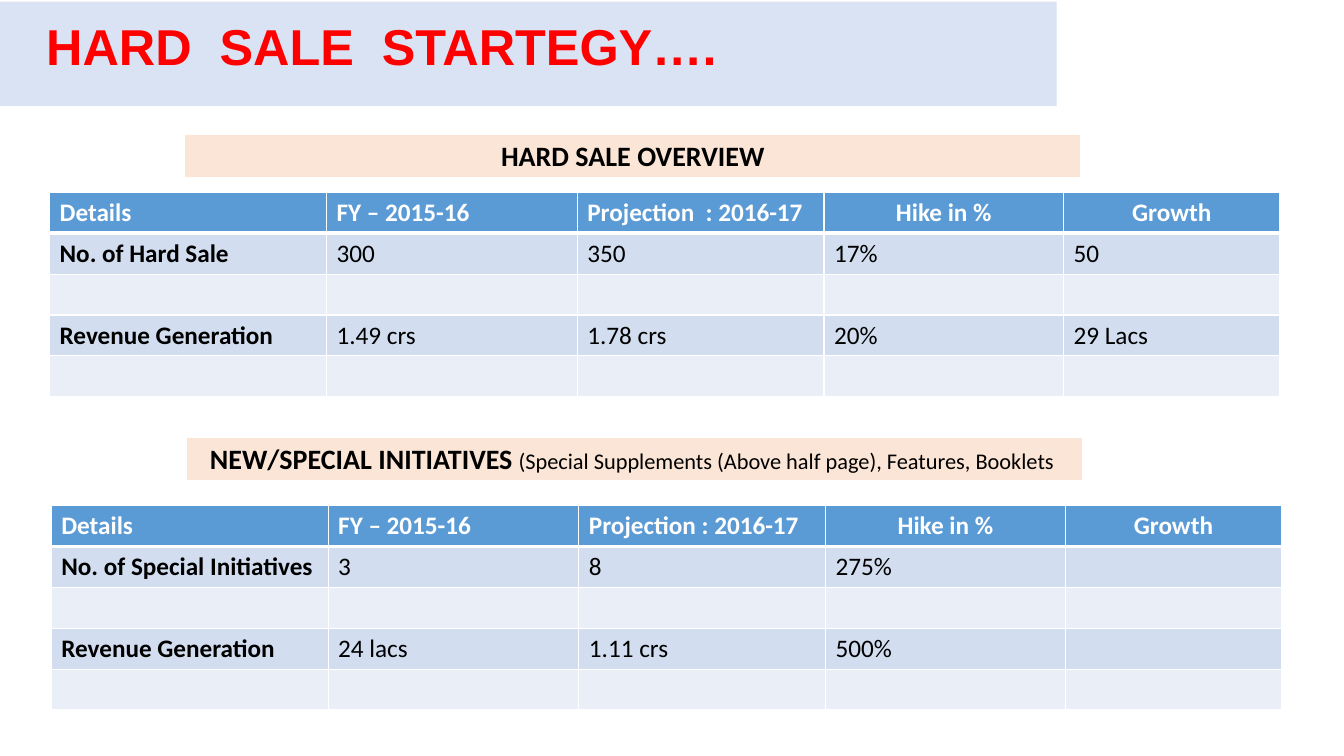
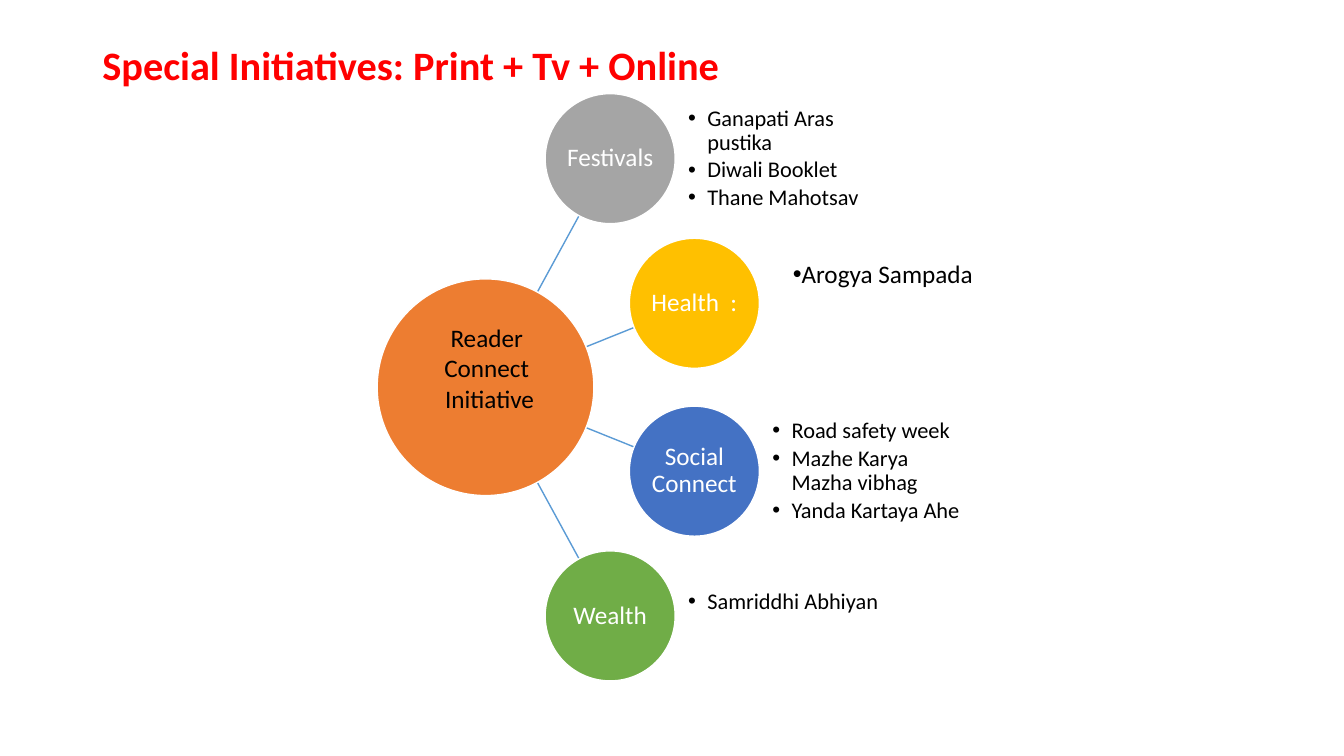
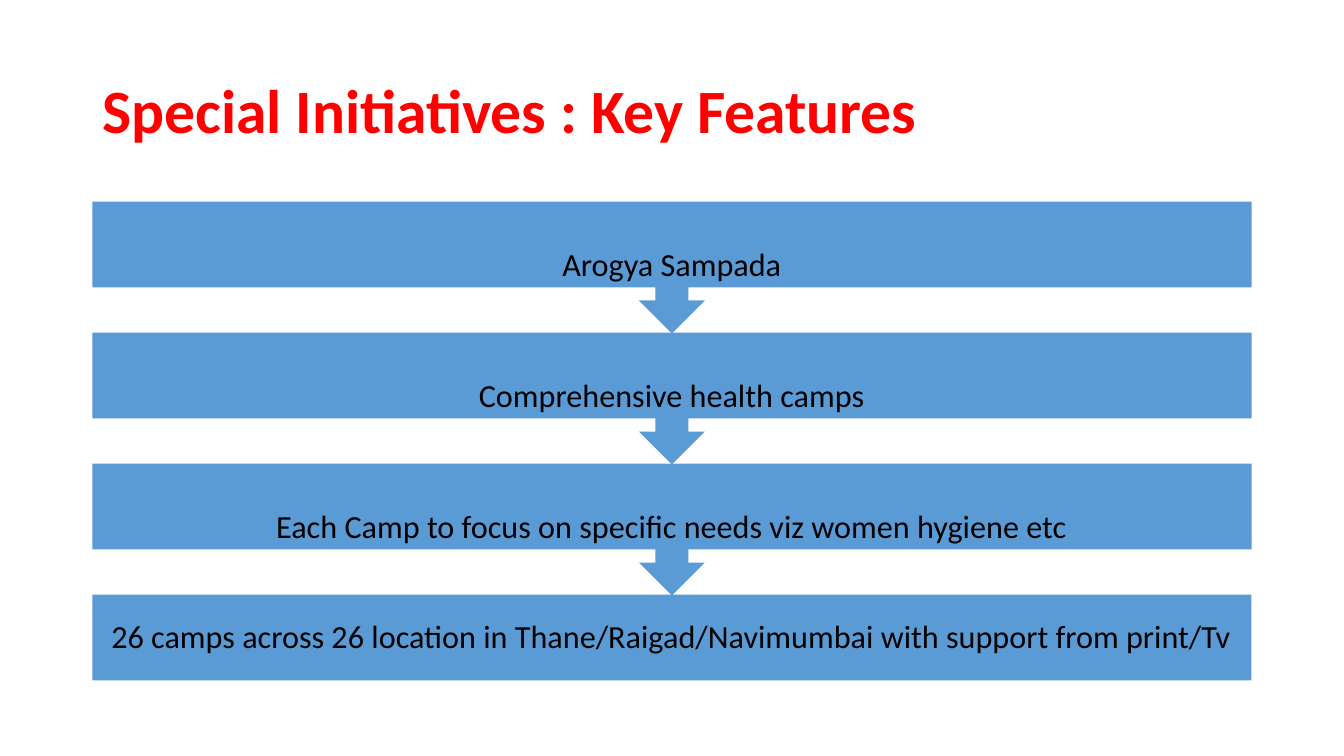
from dataclasses import dataclass
from math import cos, radians, sin

from lxml.etree import SubElement
from pptx import Presentation
from pptx.dml.color import RGBColor
from pptx.enum.shapes import MSO_CONNECTOR, MSO_SHAPE
from pptx.enum.text import MSO_ANCHOR, MSO_AUTO_SIZE, PP_ALIGN
from pptx.oxml.ns import qn
from pptx.util import Emu, Inches, Pt

CELL = Inches(1) / 12
COLS, ROWS = 160, 90


@dataclass(frozen=True)
class Theme:
    """Colours, fonts and type sizes of the deck."""
    red: str = "FF0000"
    black: str = "000000"
    white: str = "FFFFFF"
    blue: str = "5B9BD5"
    band: str = "DAE3F3"
    peach: str = "FBE5D6"
    orange: str = "ED7D31"
    gray: str = "A5A5A5"
    gold: str = "FFC000"
    navy: str = "4472C4"
    green: str = "70AD47"
    stripes: tuple = ("EAEFF7", "D2DEEF")
    font: str = "Calibri"
    block: str = "Arial"
    note: float = 16
    body: float = 18
    label: float = 20
    step: float = 23


THEME = Theme()


@dataclass(frozen=True)
class Box:
    """A box in grid columns and rows."""
    x: float
    y: float
    w: float
    h: float

    def cut(self, x, y, w, h):
        """Return a box placed relative to this one."""
        return Box(self.x + x, self.y + y, w, h)

    def emu(self):
        """Return left, top, width and height for python-pptx."""
        return [Emu(round(v * CELL)) for v in (self.x, self.y, self.w, self.h)]


def dress(item, values):
    """Set each attribute named in values."""
    for name, value in values.items():
        setattr(item, name, value)


def style(size, color=THEME.black, bold=False, font=THEME.font):
    """Return the format values of a run."""
    return {"size": Pt(size), "bold": bold, "name": font, "rgb": RGBColor.from_string(color)}


def write(frame, lines, look, para=None, body=None, bullet=None):
    """Fill a text frame; a line is a string or a list of text and style pairs."""
    dress(frame, {"word_wrap": True, "auto_size": MSO_AUTO_SIZE.NONE, **(body or {})})
    for i, line in enumerate(lines):
        part = frame.paragraphs[0] if i == 0 else frame.add_paragraph()
        dress(part, para or {})
        if bullet is not None:
            mark(part, bullet)
        for text, own in [(line, look)] if isinstance(line, str) else line:
            run = part.add_run()
            run.text = text
            for name, value in own.items():
                setattr(run.font.color if name == "rgb" else run.font, name, value)


def mark(part, indent):
    """Give a paragraph a round bullet with a hanging indent."""
    props = part._p.get_or_add_pPr()
    props.set("marL", str(Inches(indent)))
    props.set("indent", str(-Inches(indent)))
    SubElement(props, qn("a:buFont"), typeface="Arial")
    SubElement(props, qn("a:buChar"), char="•")


def inset(left, top, right, bottom):
    """Return frame margins from inches."""
    names = ("margin_left", "margin_top", "margin_right", "margin_bottom")
    return dict(zip(names, map(Inches, (left, top, right, bottom))))


def form(slide, kind, box, fill, edge=None):
    """Add a flat preset shape."""
    shape = slide.shapes.add_shape(kind, *box.emu())
    shape.shadow.inherit = False
    shape.fill.solid()
    shape.fill.fore_color.rgb = RGBColor.from_string(fill)
    if edge:
        shape.line.color.rgb = RGBColor.from_string(edge)
        shape.line.width = Pt(1)
    else:
        shape.line.fill.background()
    return shape


def text(slide, box, *args, **rest):
    """Add a text box."""
    write(slide.shapes.add_textbox(*box.emu()).text_frame, *args, **rest)


def page(deck, box, title, size, font=THEME.font):
    """Add a title-only slide with a red title."""
    slide = deck.slides.add_slide(deck.slide_layouts[5])
    head = slide.shapes.title
    dress(head, dict(zip(("left", "top", "width", "height"), box.emu())))
    write(head.text_frame, [title], style(size, THEME.red, True, font),
          {"alignment": PP_ALIGN.LEFT, "line_spacing": 0.9},
          {"vertical_anchor": MSO_ANCHOR.MIDDLE})
    return slide


def paint(cell, fill, top=1, base=1):
    """Give a table cell white borders and a fill."""
    props = cell._tc.get_or_add_tcPr()
    for side, width in {"L": 1, "R": 1, "T": top, "B": base}.items():
        line = SubElement(props, qn(f"a:ln{side}"), w=str(Pt(width)))
        SubElement(SubElement(line, qn("a:solidFill")), qn("a:srgbClr"), val=THEME.white)
    cell.fill.solid()
    cell.fill.fore_color.rgb = RGBColor.from_string(fill)


def grid(slide, box, rows, widths):
    """Add a plain table with equal rows and return it."""
    table = slide.shapes.add_table(rows, len(widths), *box.emu()).table
    dress(table, {"first_row": False, "horz_banding": False})
    for col, width in zip(table.columns, widths):
        col.width = Emu(round(box.w * width / sum(widths) * CELL))
    for row in table.rows:
        row.height = Emu(round(box.h / rows * CELL))
    return table


def section(slide, box, label, rows):
    """Place a caption at the top of the box and a table at its base."""
    high = 24.2
    cap = grid(slide, box.cut(16.1, 0, 106.7, 5.2), 1, [1]).cell(0, 0)
    paint(cap, THEME.peach, base=3)
    write(cap.text_frame, [label], {}, {"alignment": PP_ALIGN.CENTER})
    table = grid(slide, box.cut(0, box.h - high, box.w, high), len(rows),
                 [2.75, 2.49, 2.45, 2.38, 2.15])
    for r, row in enumerate(rows):
        for c in range(len(table.columns)):
            cell = table.cell(r, c)
            fill = THEME.stripes[r % 2] if r else THEME.blue
            paint(cell, fill, top=3 if r == 1 else 1, base=1 if r else 3)
            if c < len(row):
                look = style(THEME.body, THEME.black if r else THEME.white, r == 0 or c == 0)
                align = PP_ALIGN.CENTER if r == 0 and c > 2 else PP_ALIGN.LEFT
                write(cell.text_frame, [row[c]], look, {"alignment": align})


def ring(slide, box, balls):
    """Place a hub at the left of the box with balls, spokes and notes around it."""
    hub, ball = 12.9, 7.74
    mid = (box.x + hub, box.y + box.h / 2)

    def polar(angle, reach):
        """Return the point at an angle and distance from the hub."""
        turn = radians(angle)
        return mid[0] + reach * cos(turn), mid[1] + reach * sin(turn)

    for _, _, angle, reach, _, _ in balls:
        ends = [Emu(round(v * CELL)) for v in
                polar(angle, 0.8 * hub) + polar(angle, reach - ball)]
        spoke = slide.shapes.add_connector(MSO_CONNECTOR.STRAIGHT, *ends)
        spoke.line.color.rgb = RGBColor.from_string(THEME.blue)
        spoke.line.width = Pt(1)
        SubElement(spoke._element.spPr, qn("a:effectLst"))
    form(slide, MSO_SHAPE.OVAL, Box(mid[0] - hub, mid[1] - hub, 2 * hub, 2 * hub),
         THEME.orange, THEME.white)
    tight = {"vertical_anchor": MSO_ANCHOR.MIDDLE, **inset(0, 0, 0, 0)}
    for name, fill, angle, reach, notes, lift in balls:
        x, y = polar(angle, reach)
        spot = Box(x - ball, y - ball, 2 * ball, 2 * ball)
        shape = form(slide, MSO_SHAPE.OVAL, spot, fill, THEME.white)
        write(shape.text_frame, [name], style(THEME.body, THEME.white),
              {"alignment": PP_ALIGN.CENTER, "line_spacing": 0.9}, tight)
        if notes:
            text(slide, spot.cut(2.2 * ball, 0, 3 * ball, 2 * ball - lift), notes,
                 style(THEME.note), {"line_spacing": 0.9, "space_after": Pt(2.4)},
                 tight, bullet=0.19)
    text(slide, box.cut(3.8, 26.6, 18.5, 12.1), ["Reader", "Connect", " Initiative"],
         style(THEME.body), {"alignment": PP_ALIGN.CENTER})
    text(slide, box.cut(48.3, 19, 24.1, 4.8), ["Arogya Sampada"], style(THEME.body),
         body={"word_wrap": False}, bullet=0)


def steps(slide, box, lines):
    """Stack callouts with down arrows and end with a plain bar."""
    bar = 10.2
    pitch = (box.h - bar) / (len(lines) - 1)
    for i, line in enumerate(lines):
        last = i == len(lines) - 1
        kind = MSO_SHAPE.RECTANGLE if last else MSO_SHAPE.DOWN_ARROW_CALLOUT
        shape = form(slide, kind, box.cut(0, i * pitch, box.w, bar if last else pitch + 0.1),
                     THEME.blue)
        write(shape.text_frame, [line], style(THEME.step),
              {"alignment": PP_ALIGN.CENTER, "line_spacing": 0.9},
              {"vertical_anchor": MSO_ANCHOR.MIDDLE, **inset(0.1, 0 if last else 0.43, 0.1, 0)})


def sales(deck):
    """Build the slide with two sales tables."""
    slide = page(deck, Box(4.3, 1.6, 120.7, 8.5), "HARD  SALE  STARTEGY….", 36, THEME.block)
    band = form(slide, MSO_SHAPE.RECTANGLE, Box(0, 0.2, 125.8, 12.4), THEME.band)
    slide.shapes._spTree.insert(2, band._element)
    bold = style(THEME.label, bold=True)
    ends = ["Hike in %", "Growth"]
    section(slide, Box(5.9, 16, 146.5, 31.1), [("HARD SALE OVERVIEW", bold)], [
        ["Details", "FY – 2015-16", "Projection  : 2016-17", *ends],
        ["No. of Hard Sale", "300", "350", "17%", "50"],
        [],
        ["Revenue Generation", "1.49 crs", "1.78 crs", "20%", "29 Lacs"],
        [],
    ])
    label = [
        ("NEW/SPECIAL INITIATIVES", bold),
        (" ", style(THEME.body, bold=True)),
        ("(Special Supplements (Above half page), Features, Booklets ", style(THEME.note)),
    ]
    section(slide, Box(6.1, 52.1, 146.5, 32.3), label, [
        ["Details", "FY – 2015-16", "Projection : 2016-17", *ends],
        ["No. of Special Initiatives", "3", "8", "275%"],
        [],
        ["Revenue Generation", "24 lacs", "1.11 crs", "500%"],
        [],
    ])


def reach(deck):
    """Build the slide with the reader hub."""
    slide = page(deck, Box(11, 4.8, 138, 6.5), "Special Initiatives: Print + Tv + Online", 28.8)
    ring(slide, Box(44.9, 11.2, 70.1, 69.8), [
        ("Festivals", THEME.gray, -61.4, 31,
         ["Ganapati Aras pustika", "Diwali Booklet", "Thane Mahotsav"], 0),
        ("Health  :", THEME.gold, -21.9, 26.8, [], 0),
        ("Social Connect", THEME.navy, 21.9, 26.8,
         ["Road safety week", "Mazhe Karya Mazha vibhag", "Yanda Kartaya Ahe"], 0),
        ("Wealth", THEME.green, 61.4, 31, ["Samriddhi Abhiyan"], 3.2),
    ])


def camps(deck):
    """Build the slide with the chain of key features."""
    slide = page(deck, Box(11, 4.8, 138, 17.4), "Special Initiatives : Key Features", 44)
    steps(slide, Box(11, 24, 138, 57), [
        "Arogya Sampada",
        "Comprehensive health camps",
        "Each Camp to focus on specific needs viz women hygiene etc",
        "26 camps across 26 location in Thane/Raigad/Navimumbai with support from print/Tv",
    ])


def main():
    """Build and save the deck."""
    deck = Presentation()
    dress(deck, {"slide_width": Emu(round(COLS * CELL)), "slide_height": Emu(round(ROWS * CELL))})
    for build in (sales, reach, camps):
        build(deck)
    deck.save("out.pptx")


if __name__ == "__main__":
    main()
